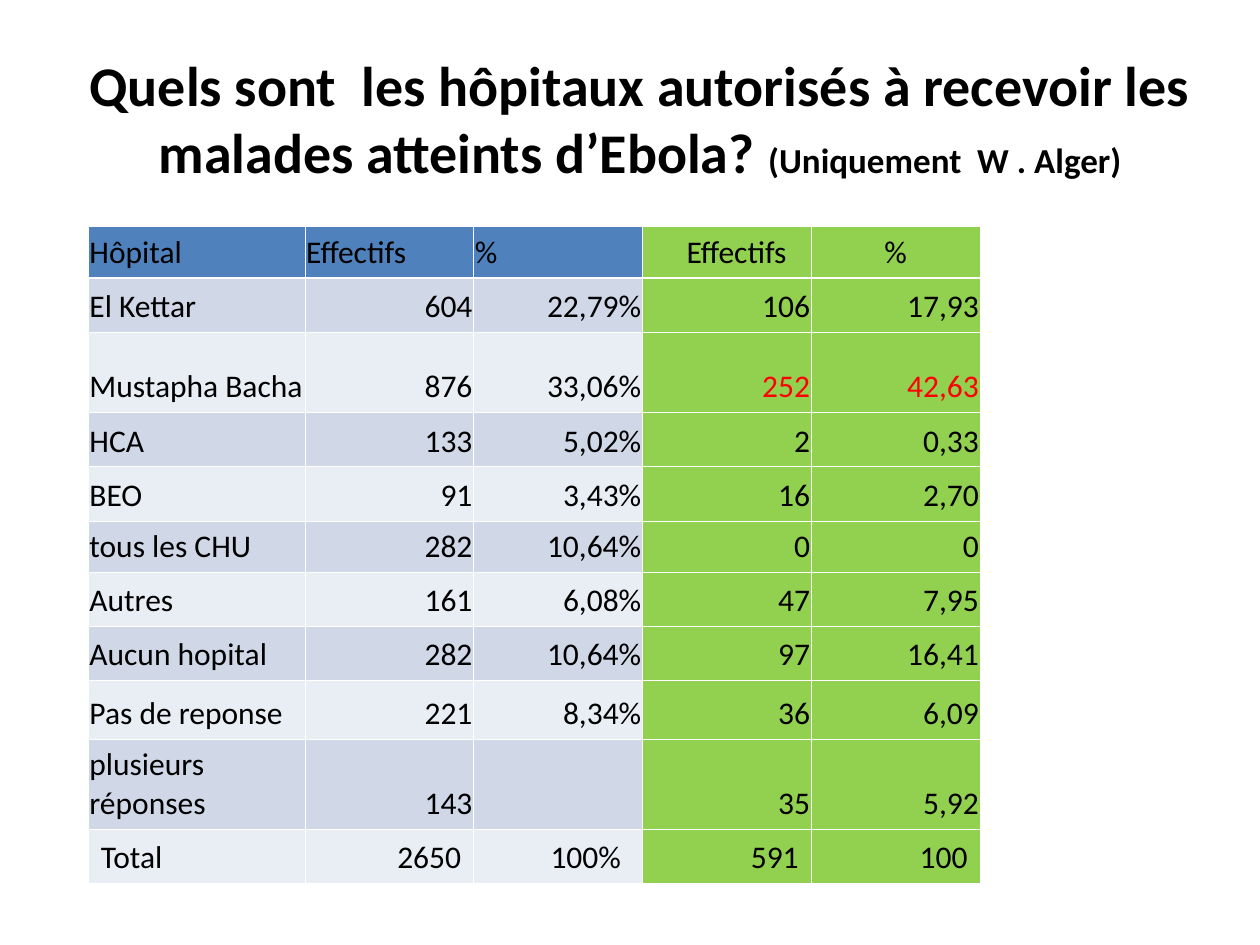
import pptx
import pptx.dml.color
import pptx.enum.text
import pptx.oxml
import pptx.oxml.ns
import pptx.util
from pptx.util import Inches

ALIGN = pptx.enum.text.PP_ALIGN
ANCHOR = pptx.enum.text.MSO_ANCHOR

THEME = {
    "font": "Calibri",
    "title_size": 32,
    "note_size": 20,
    "table_size": 18,
    "text": "000000",
    "highlight": "FF0000",
    "header": "4F81BD",
    "bands": ("D0D8E8", "E9EDF4"),
    "green": "92D050",
    "border": "FFFFFF",
    "thin": 0.45,
    "thick": 1.5,
}

TITLE = [
    ("Quels sont  les hôpitaux autorisés à recevoir les malades atteints d’Ebola? ", THEME["title_size"]),
    ("(Uniquement  W . Alger)", THEME["note_size"]),
]
ROWS = [
    ("Hôpital", "Effectifs", "%", "Effectifs", "%"),
    ("El Kettar", "604", "22,79%", "106", "17,93"),
    ("Mustapha Bacha", "876", "33,06%", "252", "42,63"),
    ("HCA", "133", "5,02%", "2", "0,33"),
    ("BEO", "91", "3,43%", "16", "2,70"),
    ("tous les CHU", "282", "10,64%", "0", "0"),
    ("Autres", "161", "6,08%", "47", "7,95"),
    ("Aucun hopital", "282", "10,64%", "97", "16,41"),
    ("Pas de reponse", "221", "8,34%", "36", "6,09"),
    ("plusieurs réponses", "143", "", "35", "5,92"),
    ("Total", "2650", "100%", "591", "100"),
]
COLUMN_WIDTHS = (1.72, 1.34, 1.34, 1.34, 1.34)
ROW_HEIGHTS = (0.32, 0.43, 0.64, 0.43, 0.43, 0.37, 0.43, 0.43, 0.47, 0.62, 0.43)
TOTAL_ROW = len(ROWS) - 1
FIRST_GREEN_COLUMN = 3
HIGHLIGHTED = {(2, 3), (2, 4)}
# Left-aligned cells pushed to the right: (row, column) -> left margin
INDENTS = {(0, 3): 0.35, (0, 4): 0.58, (TOTAL_ROW, 2): 0.61}


def add_run(paragraph, text, size, color=THEME["text"], bold=False):
    run = paragraph.add_run()
    run.text = text
    run.font.name = THEME["font"]
    run.font.size = pptx.util.Pt(size)
    run.font.bold = bold
    run.font.color.rgb = pptx.dml.color.RGBColor.from_string(color)


def set_borders(cell, widths):
    """Draw the left, right, top and bottom borders, ahead of the cell fill."""
    properties = cell._tc.get_or_add_tcPr()
    for index, (side, width) in enumerate(zip("LRTB", widths)):
        properties.insert(index, pptx.oxml.parse_xml(
            f'<a:ln{side} {pptx.oxml.ns.nsdecls("a")} w="{pptx.util.Pt(width)}">'
            f'<a:solidFill><a:srgbClr val="{THEME["border"]}"/></a:solidFill></a:ln{side}>'))


def fill_color(row, column):
    if column >= FIRST_GREEN_COLUMN:
        return THEME["green"]
    return THEME["header"] if row == 0 else THEME["bands"][(row - 1) % 2]


def format_cell(cell, row, column, text):
    cell.fill.solid()
    cell.fill.fore_color.rgb = pptx.dml.color.RGBColor.from_string(fill_color(row, column))
    thin, thick = THEME["thin"], THEME["thick"]
    set_borders(cell, (thin, thin, thick if row == 1 else thin, thick if row == 0 else thin))
    side_margin = 0.1 if row == TOTAL_ROW else 0.01
    cell.margin_left = Inches(INDENTS.get((row, column), side_margin))
    cell.margin_right = Inches(side_margin)
    cell.margin_top = cell.margin_bottom = Inches(0.05)
    cell.vertical_anchor = ANCHOR.BOTTOM
    if not text:
        return
    paragraph = cell.text_frame.paragraphs[0]
    is_left = row == 0 or column == 0 or (row, column) in INDENTS
    paragraph.alignment = ALIGN.LEFT if is_left else ALIGN.RIGHT
    color = THEME["highlight"] if (row, column) in HIGHLIGHTED else THEME["text"]
    add_run(paragraph, text, THEME["table_size"], color)


def add_title(slide):
    title = slide.shapes.title
    title.left, title.top = Inches(0.16), Inches(0.31)
    title.width, title.height = Inches(9.84), Inches(1.25)
    title.text_frame.vertical_anchor = ANCHOR.MIDDLE
    paragraph = title.text_frame.paragraphs[0]
    paragraph.alignment = ALIGN.CENTER
    for text, size in TITLE:
        add_run(paragraph, text, size, bold=True)


def add_hospital_table(slide):
    table = slide.shapes.add_table(
        len(ROWS), len(COLUMN_WIDTHS), Inches(0.7), Inches(1.8),
        Inches(sum(COLUMN_WIDTHS)), Inches(sum(ROW_HEIGHTS))).table
    for column, width in zip(table.columns, COLUMN_WIDTHS):
        column.width = Inches(width)
    for row, height in zip(table.rows, ROW_HEIGHTS):
        row.height = Inches(height)
    for row, texts in enumerate(ROWS):
        for column, text in enumerate(texts):
            format_cell(table.cell(row, column), row, column, text)


def main():
    presentation = pptx.Presentation()
    presentation.slide_width, presentation.slide_height = Inches(10), Inches(7.5)
    slide = presentation.slides.add_slide(presentation.slide_layouts[5])
    add_title(slide)
    add_hospital_table(slide)
    presentation.save("out.pptx")


if __name__ == "__main__":
    main()
